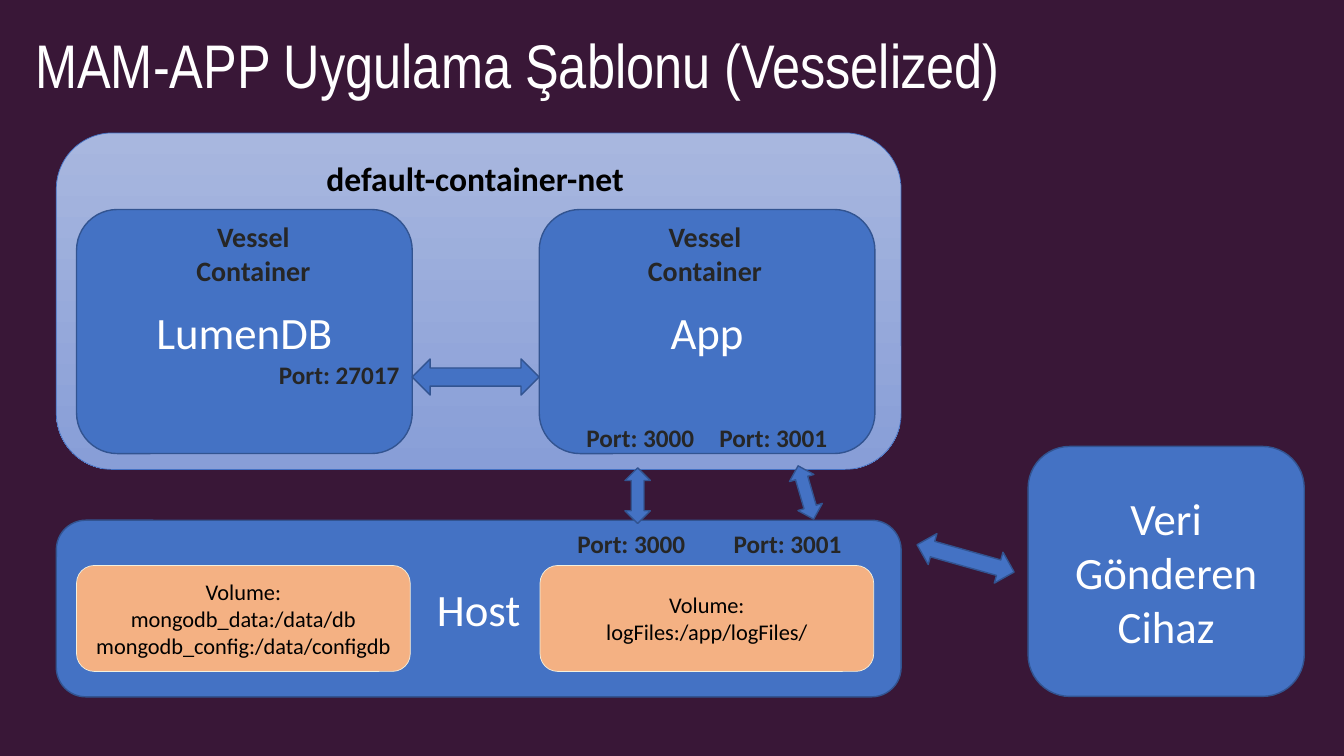
"""Build the slide showing the containerized MAM-APP application template."""
from pptx import Presentation, util as u
from pptx.dml.color import RGBColor
from pptx.enum import shapes, text

PLUM = RGBColor(0x39, 0x17, 0x37)
BLUE = RGBColor(0x44, 0x72, 0xC4)
NAVY = RGBColor(0x32, 0x54, 0x91)
ORANGE = RGBColor(0xF4, 0xB1, 0x83)
CREAM = RGBColor(0xF3, 0xF0, 0xDF)
NET_TOP = RGBColor(0xA8, 0xB7, 0xDF)
NET_BOTTOM = RGBColor(0x88, 0x9E, 0xD7)
WHITE = RGBColor(0xFF, 0xFF, 0xFF)
BLACK = RGBColor(0, 0, 0)
CHARCOAL = RGBColor(0x26, 0x26, 0x26)

ROUNDED = shapes.MSO_SHAPE.ROUNDED_RECTANGLE
ARROW = shapes.MSO_SHAPE.UP_DOWN_ARROW
CENTER = text.PP_ALIGN.CENTER
LEFT = text.PP_ALIGN.LEFT

deck = Presentation()
deck.slide_width, deck.slide_height = u.Cm(33.87), u.Cm(19.05)
slide = deck.slides.add_slide(deck.slide_layouts[6])
slide.background.fill.solid()
slide.background.fill.fore_color.rgb = PLUM


def write(holder, lines, size, color, align=CENTER, bold=False, font="Calibri"):
    """Fill a shape or text box with one paragraph per line."""
    frame = holder.text_frame
    frame.text = "\n".join(lines)
    for paragraph in frame.paragraphs:
        paragraph.alignment = align
        paragraph.font.color.rgb = color
        for name, value in {"size": u.Pt(size), "bold": bold, "name": font}.items():
            setattr(paragraph.font, name, value)
    return frame


def draw(kind, place, fill=BLUE, edge=NAVY, width=1, turn=0):
    """Add a flat preset shape at a place given in centimetres."""
    shape = slide.shapes.add_shape(kind, *map(u.Cm, place))
    shape.shadow.inherit = False
    shape.rotation = turn
    shape.fill.solid()
    shape.fill.fore_color.rgb = fill
    shape.line.color.rgb = edge
    shape.line.width = u.Pt(width)
    return shape


network = draw(ROUNDED, (1.42, 3.35, 21.29, 8.48), edge=BLUE, width=0.5)
network.fill.gradient()
network.fill.gradient_angle = 270
for stop, position, shade in zip(network.fill.gradient_stops, (0, 1), (NET_TOP, NET_BOTTOM)):
    stop.position = position
    stop.color.rgb = shade

for label, place in (
    ("LumenDB", (1.93, 5.28, 8.46, 6.15)),
    ("App", (13.59, 5.28, 8.46, 6.15)),
    ("Host", (1.42, 13.11, 21.29, 4.45)),
    ("Veri Gönderen Cihaz", (25.91, 11.25, 6.96, 6.3)),
):
    write(draw(ROUNDED, place), [label], 32, WHITE)

for left, volume in (
    (1.93, ["Volume:", "mongodb_data:/data/db", "mongodb_config:/data/configdb"]),
    (13.61, ["Volume:", "logFiles:/app/logFiles/"]),
):
    write(draw(ROUNDED, (left, 14.25, 8.41, 2.67), ORANGE, CREAM, 0.5), volume, 16, BLACK)

for place, turn in (
    ((11.53, 7.9, 0.91, 3.2), 270),
    ((15.75, 11.79, 0.64, 1.4), 0),
    ((19.99, 11.71, 0.64, 1.4), 343.7),
    ((23.93, 12.8, 0.81, 2.54), 285.7),
):
    draw(ARROW, place, turn=turn)

for port, left, top, width in (
    (27017, 6.78, 8.94, 3.56),
    (3000, 14.53, 10.52, 3.23),
    (3001, 17.88, 10.52, 3.23),
    (3000, 14.3, 13.18, 3.23),
    (3001, 18.24, 13.18, 3.23),
):
    port_box = slide.shapes.add_textbox(*map(u.Cm, (left, top, width, 0.91)))
    write(port_box, [f"Port: {port}"], 18, CHARCOAL, LEFT, True).word_wrap = False

for lines, place, size, color in (
    (["Vessel", "Container"], (4.39, 5.41, 3.99, 1.73), 20, CHARCOAL),
    (["Vessel", "Container"], (15.77, 5.41, 3.99, 1.73), 20, CHARCOAL),
    (["default-container-net"], (7.44, 3.86, 9.07, 1.27), 24, BLACK),
):
    caption = slide.shapes.add_textbox(*map(u.Cm, place))
    write(caption, lines, size, color, bold=True).word_wrap = True

title = slide.shapes.add_textbox(*map(u.Cm, (0.64, 0.76, 30.56, 3.51)))
heading = write(title, ["MAM-APP Uygulama Şablonu (Vesselized)"], 44, WHITE, LEFT, font="Arial Narrow")
heading.word_wrap = True
heading.paragraphs[0].line_spacing = 0.9

deck.save("out.pptx")
